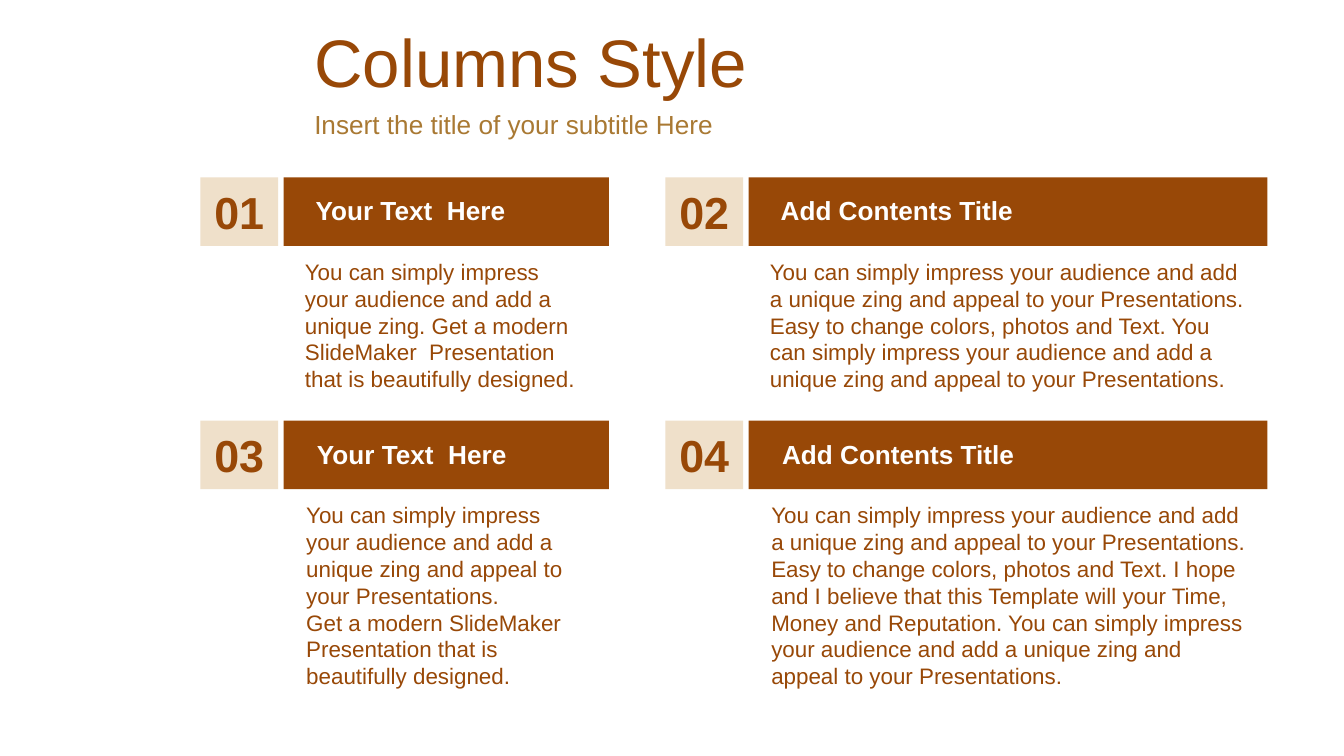
from dataclasses import dataclass

from pptx import Presentation
from pptx.dml.color import RGBColor
from pptx.enum.shapes import MSO_SHAPE
from pptx.enum.text import MSO_ANCHOR, PP_ALIGN
from pptx.shapes.autoshape import Shape
from pptx.slide import Slide
from pptx.util import Inches, Pt

RECTANGLE = MSO_SHAPE.RECTANGLE
TOP, MIDDLE = MSO_ANCHOR.TOP, MSO_ANCHOR.MIDDLE
LEFT, CENTER = PP_ALIGN.LEFT, PP_ALIGN.CENTER

FONT = "Arial"
COLORS = {
    "brown": "984807",
    "gold": "A97933",
    "cream": "EFE0CA",
    "white": "FFFFFF",
}

SLIDE_WIDTH = 10
SLIDE_HEIGHT = SLIDE_WIDTH * 9 / 16
TITLE_LEFT = 2.24
COLUMN_LEFTS = (1.49, 4.95)
BAR_WIDTHS = (2.42, 3.86)
HEADING_WIDTHS = (2.13, 2.59)
BODY_WIDTHS = (2.28, 3.78)
BODY_HEIGHTS = (1.11, 1.51)
FIRST_ROW, ROW_STEP = 1.32, 1.81
NUMBER_WIDTH, BAR_OFFSET, BAR_HEIGHT = 0.58, 0.62, 0.51
ROW_INDENT = 0.01


@dataclass(frozen=True)
class Box:
    left: float
    top: float
    width: float
    height: float

    def lengths(self) -> list[int]:
        return [Inches(value) for value in (self.left, self.top, self.width, self.height)]


@dataclass(frozen=True)
class TextStyle:
    size: int
    color: str
    bold: bool = False
    align: PP_ALIGN = LEFT
    anchor: MSO_ANCHOR = TOP


@dataclass(frozen=True)
class Card:
    column: int
    row: int
    number: str
    heading: str
    body: tuple[str, ...]


TITLE = TextStyle(36, "brown", anchor=MIDDLE)
SUBTITLE = TextStyle(14, "gold", anchor=MIDDLE)
NUMBER = TextStyle(24, "brown", bold=True, align=CENTER, anchor=MIDDLE)
HEADING = TextStyle(14, "white", bold=True)
BODY = TextStyle(12, "brown")

IMPRESS = (
    "You can simply impress your audience and add a unique zing "
    "and appeal to your Presentations."
)
DESIGNED = "Get a modern SlideMaker  Presentation that is beautifully designed."

CARDS = (
    Card(0, 0, "01", "Your Text  Here", (
        f"You can simply impress your audience and add a unique zing. {DESIGNED}",
    )),
    Card(1, 0, "02", "Add Contents Title", (
        f"{IMPRESS} Easy to change colors, photos and Text. {IMPRESS}",
    )),
    Card(0, 1, "03", "Your Text  Here", (IMPRESS, DESIGNED)),
    Card(1, 1, "04", "Add Contents Title", (
        f"{IMPRESS} Easy to change colors, photos and Text. I hope and I believe "
        f"that this Template will your Time, Money and Reputation. {IMPRESS}",
    )),
)


def write_text(shape: Shape, texts: tuple[str, ...], style: TextStyle) -> None:
    frame = shape.text_frame
    frame.word_wrap = True
    frame.vertical_anchor = style.anchor
    for index, text in enumerate(texts):
        paragraph = frame.add_paragraph() if index else frame.paragraphs[0]
        paragraph.alignment = style.align
        run = paragraph.add_run()
        run.text = text
        run.font.name = FONT
        run.font.size = Pt(style.size)
        run.font.bold = style.bold
        run.font.color.rgb = RGBColor.from_string(COLORS[style.color])


def add_text(slide: Slide, box: Box, texts: tuple[str, ...], style: TextStyle) -> None:
    write_text(slide.shapes.add_textbox(*box.lengths()), texts, style)


def add_block(slide: Slide, box: Box, color: str) -> Shape:
    shape = slide.shapes.add_shape(RECTANGLE, *box.lengths())
    shape.shadow.inherit = False
    shape.fill.solid()
    shape.fill.fore_color.rgb = RGBColor.from_string(COLORS[color])
    shape.line.fill.background()
    return shape


def add_card(slide: Slide, card: Card) -> None:
    left = COLUMN_LEFTS[card.column]
    top = FIRST_ROW + card.row * ROW_STEP
    bar_left = left + BAR_OFFSET
    indent = card.row * ROW_INDENT

    add_block(slide, Box(bar_left, top, BAR_WIDTHS[card.column], BAR_HEIGHT), "brown")
    number = add_block(slide, Box(left, top, NUMBER_WIDTH, BAR_HEIGHT), "cream")
    number.text_frame.margin_left = number.text_frame.margin_right = 0
    write_text(number, (card.number,), NUMBER)

    heading_box = Box(bar_left + 0.14 + indent, top + 0.08, HEADING_WIDTHS[card.column], 0.34)
    add_text(slide, heading_box, (card.heading,), HEADING)
    body_box = Box(
        bar_left + 0.06 + indent, top + 0.55,
        BODY_WIDTHS[card.column], BODY_HEIGHTS[card.row],
    )
    add_text(slide, body_box, card.body, BODY)


def main() -> None:
    presentation = Presentation()
    presentation.slide_width = Inches(SLIDE_WIDTH)
    presentation.slide_height = Inches(SLIDE_HEIGHT)
    slide = presentation.slides.add_slide(presentation.slide_layouts[6])

    title_width = SLIDE_WIDTH - TITLE_LEFT
    add_text(slide, Box(TITLE_LEFT, 0.14, title_width, 0.63), ("Columns Style",), TITLE)
    add_text(
        slide, Box(TITLE_LEFT, 0.77, title_width, 0.31),
        ("Insert the title of your subtitle Here",), SUBTITLE,
    )
    for card in CARDS:
        add_card(slide, card)

    presentation.save("out.pptx")


if __name__ == "__main__":
    main()
